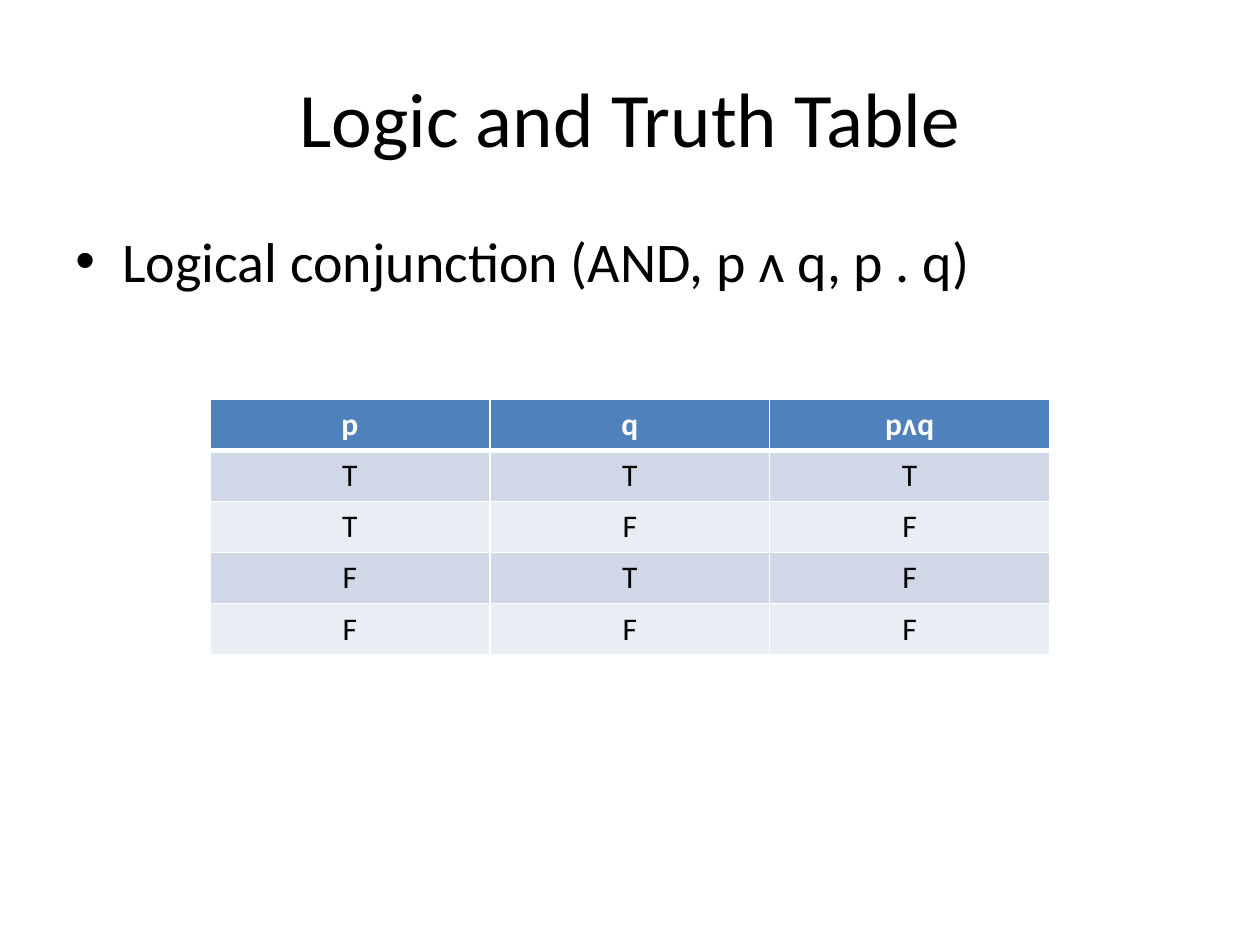
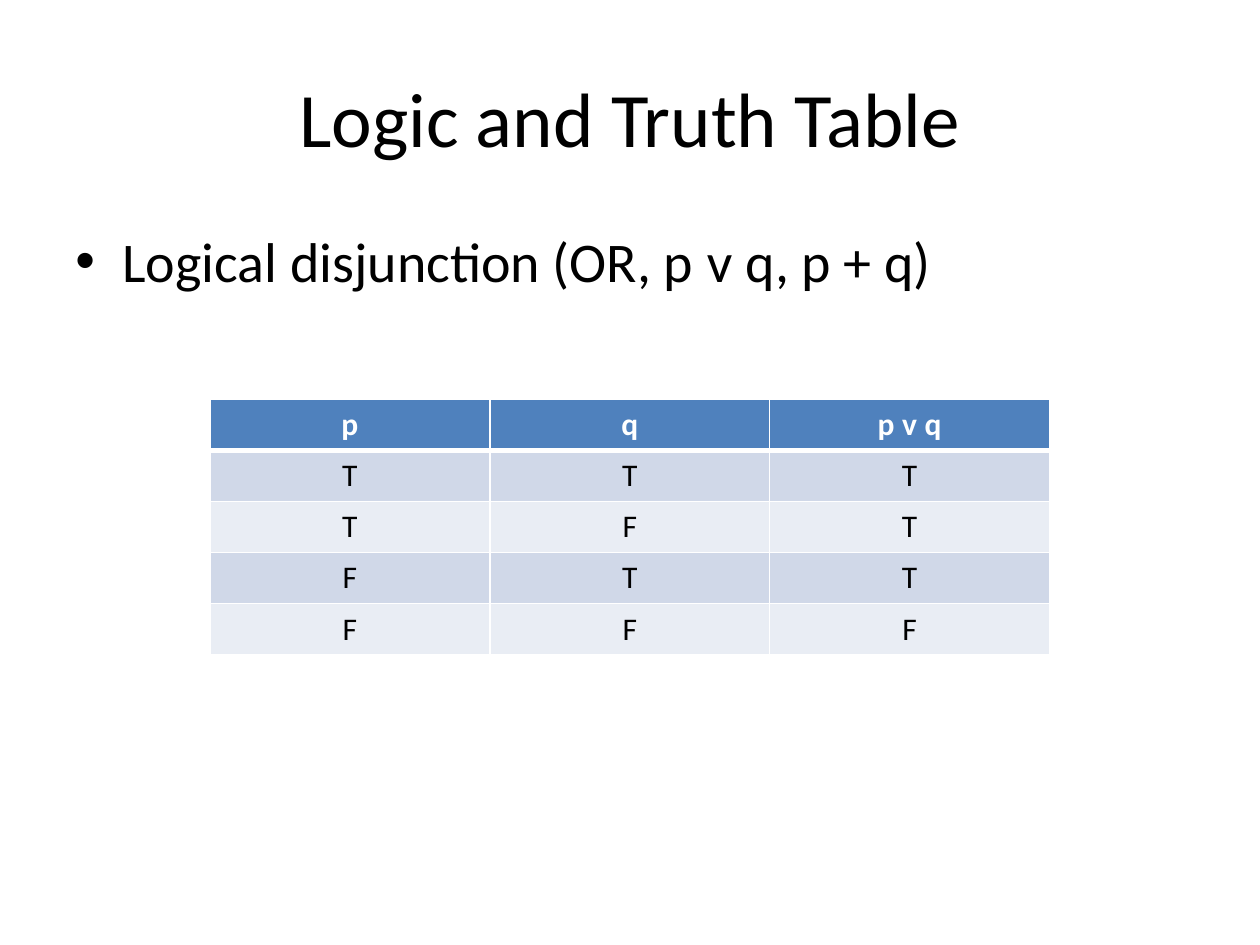
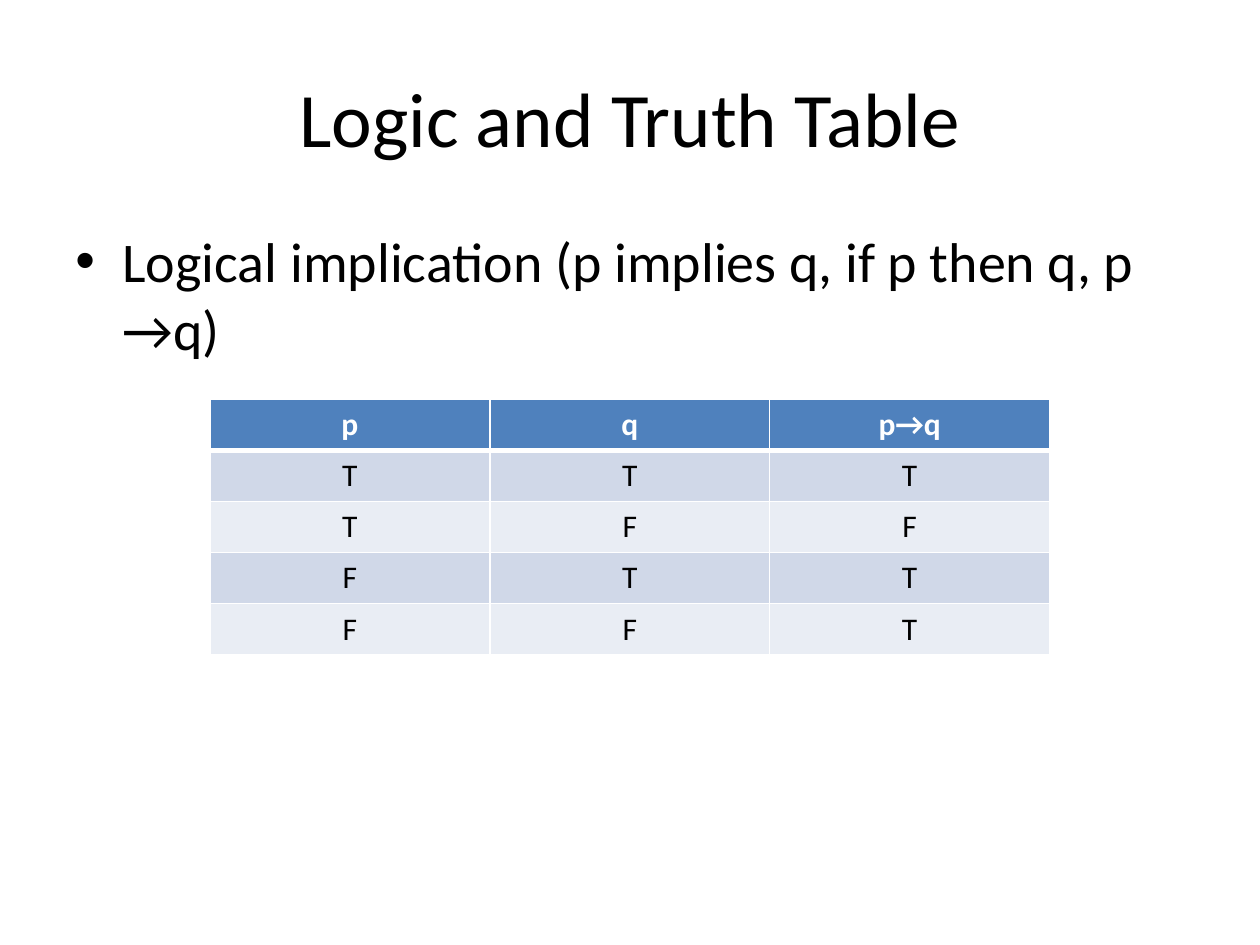
from itertools import product

from lxml import etree
from pptx import Presentation
from pptx import util as u
from pptx.dml.color import RGBColor
from pptx.enum import text
from pptx.oxml.ns import qn

COLORS = {
    "text": "000000",
    "header": "4F81BD",
    "header_text": "FFFFFF",
    "border": "FFFFFF",
    "odd_row": "D0D8E8",
    "even_row": "E9EDF4",
}
FONT = "Calibri"
TITLE = "Logic and Truth Table"

# Boxes in cm: left, top, width, height
TITLE_BOX = (1.27, 0.76, 22.86, 3.18)
BODY_BOX = (1.27, 4.45, 22.86, 12.57)
TABLE_BOX = (4.23, 8.05, 16.93, 5.15)
BULLET_INDENT = u.Cm(0.95)

# Statement, result heading, logical operation
OPERATIONS = [
    ("Logical conjunction (AND, p ᴧ q, p . q)", "pᴧq", lambda p, q: p and q),
    ("Logical disjunction (OR, p ᴠ q, p + q)", "p ᴠ q", lambda p, q: p or q),
    ("Logical implication (p implies q, if p then q, p →q)", "p→q",
     lambda p, q: not p or q),
]


def cm_box(box):
    return [u.Cm(length) for length in box]


def style_paragraph(paragraph, size, color="text", bold=False, centered=True):
    paragraph.alignment = (text.PP_ALIGN.CENTER if centered
                           else text.PP_ALIGN.LEFT)
    font = paragraph.font
    font.name = FONT
    font.size = u.Pt(size)
    font.bold = bold
    font.color.rgb = RGBColor.from_string(COLORS[color])


def add_text(slide, box, content, size, anchor, centered):
    frame = slide.shapes.add_textbox(*cm_box(box)).text_frame
    frame.word_wrap = True
    frame.vertical_anchor = anchor
    paragraph = frame.paragraphs[0]
    paragraph.text = content
    style_paragraph(paragraph, size, centered=centered)
    return paragraph


def add_title(slide, box):
    add_text(slide, box, TITLE, 44, text.MSO_ANCHOR.MIDDLE, True)


def add_statement(slide, box, statement):
    paragraph = add_text(slide, box, statement, 32, text.MSO_ANCHOR.TOP, False)
    # Hanging bullet
    properties = paragraph._p.get_or_add_pPr()
    properties.set("marL", str(BULLET_INDENT))
    properties.set("indent", str(-BULLET_INDENT))
    bullet_font = etree.Element(qn("a:buFont"), typeface="Arial")
    bullet = etree.Element(qn("a:buChar"), char="•")
    properties.insert_element_before(bullet_font, "a:defRPr")
    properties.insert_element_before(bullet, "a:defRPr")


def add_border(cell, side, width):
    line = etree.SubElement(cell._tc.get_or_add_tcPr(), qn(f"a:ln{side}"),
                            w=str(u.Pt(width)))
    fill = etree.SubElement(line, qn("a:solidFill"))
    etree.SubElement(fill, qn("a:srgbClr"), val=COLORS["border"])


def style_cell(cell, row):
    # The rule between header and body is thicker than the others
    top = 3 if row == 1 else 1
    bottom = 3 if row == 0 else 1
    for side, width in (("L", 1), ("R", 1), ("T", top), ("B", bottom)):
        add_border(cell, side, width)
    is_header = row == 0
    fill = "header" if is_header else "odd_row" if row % 2 else "even_row"
    cell.fill.solid()
    cell.fill.fore_color.rgb = RGBColor.from_string(COLORS[fill])
    style_paragraph(cell.text_frame.paragraphs[0], 18,
                    "header_text" if is_header else "text", is_header)


def add_truth_table(slide, box, heading, operation):
    rows = [("p", "q", heading)]
    for p, q in product((True, False), repeat=2):
        rows.append(["T" if value else "F" for value in (p, q, operation(p, q))])
    table = slide.shapes.add_table(len(rows), 3, *cm_box(box)).table
    for row, values in enumerate(rows):
        for column, value in enumerate(values):
            cell = table.cell(row, column)
            cell.text = value
            style_cell(cell, row)


def add_operation_slide(presentation, statement, heading, operation):
    slide = presentation.slides.add_slide(presentation.slide_layouts[6])
    add_title(slide, TITLE_BOX)
    add_statement(slide, BODY_BOX, statement)
    add_truth_table(slide, TABLE_BOX, heading, operation)


def main():
    presentation = Presentation()
    presentation.slide_width = u.Cm(25.4)
    presentation.slide_height = u.Cm(19.05)
    for statement, heading, operation in OPERATIONS:
        add_operation_slide(presentation, statement, heading, operation)
    presentation.save("out.pptx")


if __name__ == "__main__":
    main()
